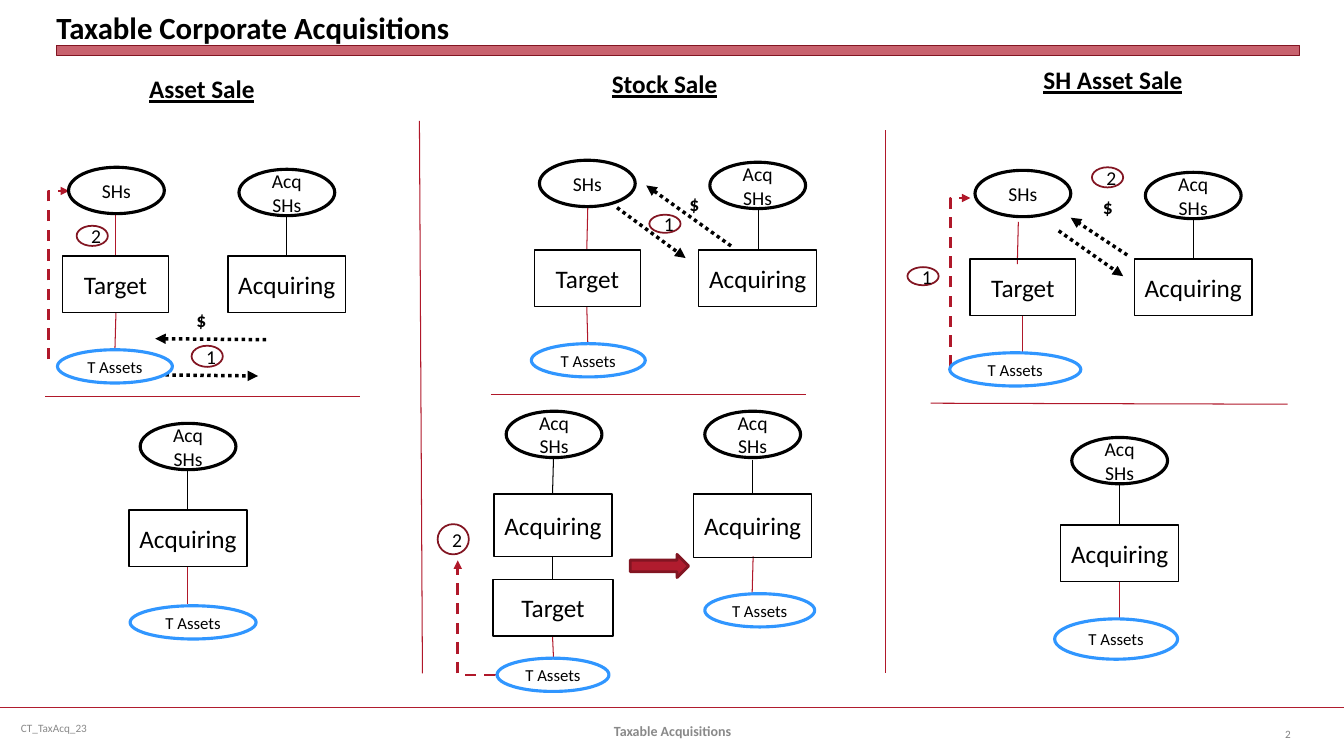
from lxml import etree
from pptx import Presentation
from pptx.dml.color import RGBColor
from pptx.enum.dml import MSO_LINE_DASH_STYLE as DASH
from pptx.enum.shapes import MSO_AUTO_SHAPE_TYPE as SHAPE, MSO_CONNECTOR_TYPE as CONNECTOR
from pptx.enum.text import MSO_VERTICAL_ANCHOR as ANCHOR, PP_PARAGRAPH_ALIGNMENT as ALIGN
from pptx.oxml.ns import qn
from pptx.util import Inches, Pt

COLORS = {
    "black": "000000",
    "white": "FFFFFF",
    "red": "B0182A",
    "bar": "B01C2E",
    "maroon": "821522",
    "blue": "3096FF",
    "gray": "898989",
    "page": "808080",
}


def write(shape, text, size, color="black", bold=False, underline=False,
          align=ALIGN.LEFT, anchor=ANCHOR.TOP, wrap=True, inset=None):
    frame = shape.text_frame
    frame.word_wrap = wrap
    frame.vertical_anchor = anchor
    if inset is not None:
        frame.margin_left = frame.margin_right = Inches(inset)
        frame.margin_top = frame.margin_bottom = Inches(inset)
    frame.text = text
    for paragraph in frame.paragraphs:
        paragraph.alignment = align
        font = paragraph.runs[0].font
        font.name = "Calibri"
        font.size = Pt(size)
        font.bold = bold
        font.underline = underline
        font.color.rgb = RGBColor.from_string(COLORS[color])


def connect(start, end, color="red", width=0.75, dash=None, arrow=False, kind=CONNECTOR.STRAIGHT):
    connector = slide.shapes.add_connector(kind, *[Inches(value) for value in start + end])
    connector.line.color.rgb = RGBColor.from_string(COLORS[color])
    connector.line.width = Pt(width)
    if dash:
        connector.line.dash_style = dash
    if arrow:
        etree.SubElement(connector.line._get_or_add_ln(), qn("a:tailEnd"), type="triangle")
    etree.SubElement(connector._element.spPr, qn("a:effectLst"))
    return connector


presentation = Presentation()
presentation.slide_width = Inches(13.33)
presentation.slide_height = Inches(7.5)
slide = presentation.slides.add_slide(presentation.slide_layouts[6])

connect((0, 7.02), (13.33, 7.02), color="bar", width=1.25)

black_links = [
    ((2.84, 2.14), (2.84, 2.54)),
    ((7.52, 2.07), (7.52, 2.48)),
    ((11.84, 2.17), (11.84, 2.57)),
    ((1.86, 4.66), (1.86, 5.06)),
    ((5.49, 4.54), (5.48, 4.9)),
    ((5.48, 5.52), (5.48, 5.75)),
    ((7.46, 4.56), (7.46, 4.9)),
    ((11.1, 4.8), (11.1, 5.21)),
]
red_links = [
    ((1.15, 2.12), (1.15, 2.54)),
    ((1.15, 3.1), (1.14, 3.47)),
    ((5.83, 2.05), (5.82, 2.48)),
    ((5.82, 3.04), (5.83, 3.41)),
    ((10.1, 2.2), (10.09, 2.62)),
    ((10.14, 3.13), (10.14, 3.5)),
    ((1.86, 5.62), (1.86, 5.99)),
    ((5.48, 6.31), (5.49, 6.53)),
    ((7.47, 5.52), (7.46, 5.89)),
    ((11.1, 5.77), (11.1, 6.14)),
]
dividers = [
    ((4.16, 1.2), (4.19, 6.68)),
    ((8.78, 1.29), (8.78, 6.68)),
    ((0.45, 3.93), (3.57, 3.93)),
    ((4.87, 3.91), (7.99, 3.91)),
    ((9.23, 4), (12.77, 4.01)),
]
exchanges = [
    ((2.64, 3.37), (1.54, 3.36)),
    ((1.64, 3.72), (2.56, 3.73)),
    ((6.12, 2.06), (6.8, 2.56)),
    ((7.25, 2.44), (6.41, 1.84)),
    ((10.5, 2.29), (11.14, 2.74)),
    ((11.18, 2.53), (10.62, 2.16)),
]
for start, end in black_links:
    connect(start, end, color="black")
for start, end in red_links + dividers:
    connect(start, end)
for start, end in exchanges:
    connect(start, end, color="black", width=2.5, dash=DASH.ROUND_DOT, arrow=True)

distributions = [
    ((1.42, 2.83), (-0.25, 2.63), 90, "bentConnector2", None),
    ((10.36, 2.9), (8.69, 2.7), 90, "bentConnector2", None),
    ((4.16, 6.31), (5.29, 5.94), 270, "bentConnector3", -600),
]
for start, end, angle, preset, bend in distributions:
    elbow = connect(start, end, width=2, dash=DASH.DASH, arrow=True, kind=CONNECTOR.ELBOW)
    properties = elbow._element.spPr
    properties.find(qn("a:xfrm")).set("rot", str(angle * 60000))
    geometry = properties.find(qn("a:prstGeom"))
    geometry.set("prst", preset)
    if bend is not None:
        adjustments = geometry.find(qn("a:avLst"))
        etree.SubElement(adjustments, qn("a:gd"), name="adj1", fmla=f"val {bend}")

styles = {
    "bar": (SHAPE.RECTANGLE, "bar", "maroon", 0, None),
    "company": (SHAPE.RECTANGLE, None, "black", 1, 18),
    "owners": (SHAPE.OVAL, None, "black", 2.25, 14),
    "assets": (SHAPE.OVAL, None, "blue", 2.25, 12),
    "step": (SHAPE.OVAL, "white", "maroon", 1.25, 14),
    "arrow": (SHAPE.RIGHT_ARROW, "bar", "maroon", 2, None),
}
figures = [
    ("bar", "", 0.56, 0.45, 12.33, 0.1),
    ("owners", "SHs", 0.68, 1.66, 0.95, 0.46),
    ("company", "Target", 0.62, 2.54, 1.05, 0.56),
    ("assets", "T Assets", 0.57, 3.47, 1.14, 0.33),
    ("owners", "Acq SHs", 2.37, 1.68, 0.95, 0.46),
    ("company", "Acquiring", 2.26, 2.54, 1.17, 0.56),
    ("step", "1", 1.9, 3.43, 0.31, 0.21),
    ("step", "2", 0.76, 2.24, 0.31, 0.2),
    ("owners", "Acq\nSHs", 1.39, 4.2, 0.95, 0.46),
    ("company", "Acquiring", 1.28, 5.06, 1.17, 0.56),
    ("assets", "T Assets", 1.29, 6.01, 1.25, 0.33),
    ("owners", "SHs", 5.35, 1.59, 0.95, 0.46),
    ("company", "Target", 5.3, 2.48, 1.05, 0.56),
    ("assets", "T Assets", 5.27, 3.41, 1.13, 0.33),
    ("owners", "Acq\nSHs", 7.04, 1.61, 0.95, 0.46),
    ("company", "Acquiring", 6.93, 2.48, 1.17, 0.56),
    ("step", "1", 6.44, 2.13, 0.31, 0.18),
    ("step", "2", 4.34, 5.2, 0.31, 0.3),
    ("owners", "Acq\nSHs", 5.02, 4.08, 0.95, 0.46),
    ("company", "Acquiring", 4.9, 4.9, 1.17, 0.62),
    ("company", "Target", 4.89, 5.75, 1.19, 0.56),
    ("assets", "T Assets", 4.93, 6.53, 1.11, 0.33),
    ("arrow", "", 6.25, 5.5, 0.58, 0.23),
    ("owners", "Acq\nSHs", 6.99, 4.08, 0.95, 0.46),
    ("company", "Acquiring", 6.88, 4.9, 1.17, 0.63),
    ("assets", "T Assets", 6.99, 5.89, 1.09, 0.33),
    ("owners", "SHs", 9.67, 1.69, 0.95, 0.46),
    ("company", "Target", 9.62, 2.57, 1.05, 0.56),
    ("assets", "T Assets", 9.42, 3.5, 1.3, 0.33),
    ("owners", "Acq SHs", 11.36, 1.71, 0.95, 0.46),
    ("company", "Acquiring", 11.25, 2.57, 1.17, 0.56),
    ("step", "1", 9, 2.65, 0.31, 0.18),
    ("step", "2", 10.83, 1.66, 0.31, 0.2),
    ("owners", "Acq\nSHs", 10.63, 4.34, 0.95, 0.46),
    ("company", "Acquiring", 10.52, 5.21, 1.17, 0.56),
    ("assets", "T Assets", 10.46, 6.14, 1.22, 0.4),
]
for role, text, *box in figures:
    preset, fill, outline, width, size = styles[role]
    shape = slide.shapes.add_shape(preset, *[Inches(value) for value in box])
    shape.shadow.inherit = False
    if fill:
        shape.fill.solid()
        shape.fill.fore_color.rgb = RGBColor.from_string(COLORS[fill])
    else:
        shape.fill.background()
    shape.line.color.rgb = RGBColor.from_string(COLORS[outline])
    shape.line.width = Pt(width)
    if role == "bar":
        tint = shape._element.spPr.find(qn("a:solidFill"))[0]
        etree.SubElement(tint, qn("a:alpha"), val="69000")
    if text:
        write(shape, text, size, align=ALIGN.CENTER, anchor=ANCHOR.MIDDLE)

heading = dict(size=18, bold=True, underline=True, wrap=False)
price = dict(size=14, bold=True, wrap=False)
labels = [
    ("Taxable Corporate Acquisitions", (0.56, 0.05, 12.33, 0.4),
     dict(size=22, bold=True, anchor=ANCHOR.BOTTOM, inset=0)),
    ("Asset Sale", (1.38, 0.68, 1.26, 0.4), heading),
    ("Stock Sale", (5.97, 0.63, 1.26, 0.4), heading),
    ("SH Asset Sale", (10.25, 0.59, 1.59, 0.4), heading),
    ("$", (1.85, 3.01, 0.3, 0.34), price),
    ("$", (6.74, 1.85, 0.3, 0.34), price),
    ("$", (10.84, 1.88, 0.3, 0.34), price),
    ("CT_TaxAcq_23", (0.11, 7.02, 3.44, 0.4), dict(size=8, color="gray", anchor=ANCHOR.MIDDLE)),
    ("Taxable Acquisitions", (4.56, 7.05, 4.22, 0.4),
     dict(size=10, color="gray", bold=True, align=ALIGN.CENTER, anchor=ANCHOR.MIDDLE)),
    ("2", (12.23, 7.08, 0.67, 0.4),
     dict(size=8, color="page", align=ALIGN.RIGHT, anchor=ANCHOR.MIDDLE)),
]
for text, box, style in labels:
    write(slide.shapes.add_textbox(*[Inches(value) for value in box]), text, **style)

presentation.save("out.pptx")
